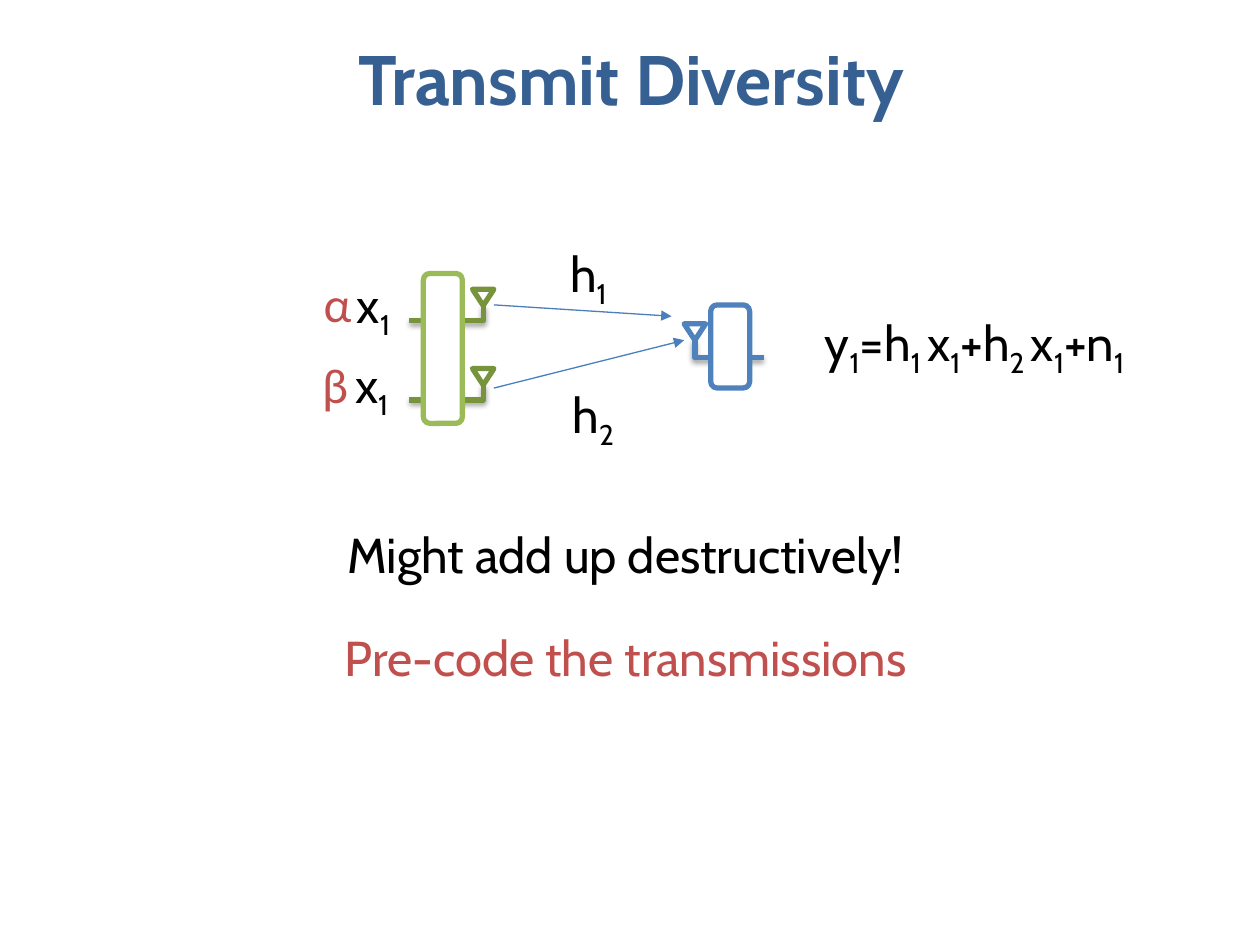
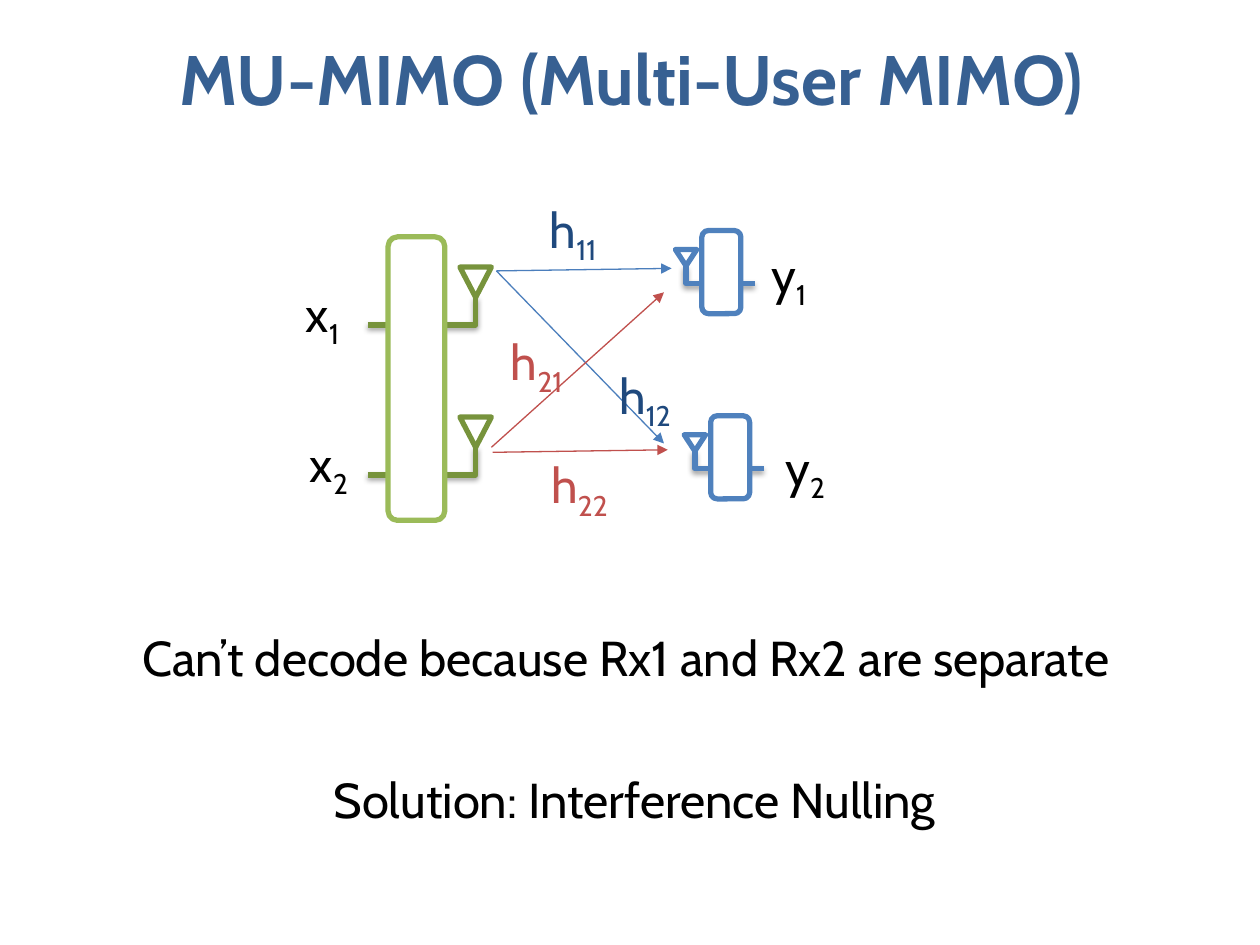
from dataclasses import dataclass

from lxml.etree import SubElement
from pptx import Presentation
from pptx.dml.color import RGBColor
from pptx.enum.shapes import MSO_CONNECTOR, MSO_SHAPE
from pptx.enum.text import MSO_ANCHOR, MSO_AUTO_SIZE, PP_ALIGN
from pptx.oxml.ns import qn
from pptx.util import Emu, Inches, Pt

SLIDE_WIDTH, SLIDE_HEIGHT = Inches(10), Inches(7.5)
COLUMNS, ROWS = 100, 75
FONT, GREEK_FONT = "Cabin", "Calibri"
TITLE_BLUE, NAVY, RED = "376092", "1F497D", "C0504D"
BLACK, WHITE = "000000", "FFFFFF"
GREEN, DARK_GREEN = "9BBB59", "77933C"
BLUE, ARROW_BLUE = "4F81BD", "4B7EBC"


@dataclass(frozen=True)
class Area:
    column: float
    row: float
    columns: float
    rows: float


@dataclass(frozen=True)
class Radio:
    body: Area
    antenna: Area
    wire_end: float
    wire_drop: float
    body_color: str
    antenna_color: str
    antenna_gaps: tuple[float, ...] = (0,)


@dataclass(frozen=True)
class Path:
    start: tuple[float, float]
    end: tuple[float, float]
    color: str = ARROW_BLUE


@dataclass(frozen=True)
class Label:
    pieces: tuple[str, ...]
    area: Area
    color: str = BLACK
    font: str = FONT


@dataclass(frozen=True)
class Diagram:
    title: str
    radios: tuple[Radio, ...]
    paths: tuple[Path, ...]
    labels: tuple[Label, ...]


def receiver(column: float, row: float) -> Radio:
    return Radio(
        Area(column, row, 3.1, 6.6),
        Area(column - 2.1, row + 1.5, 1.7, 1.3),
        column + 4.2, 1.4, BLUE, BLUE,
    )


def channel(digits: str, column: float, row: float, color: str = BLACK) -> Label:
    return Label(("h", digits), Area(column, row, 17, 6.3), color)


def signal(letter: str, digit: str, column: float, row: float,
           columns: float = 25.4) -> Label:
    return Label((letter, digit), Area(column, row, columns, 6.3))


def statement(text: str, row: float, column: float = -0.7, color: str = BLACK) -> Label:
    return Label((text,), Area(column, row, 100.7, 5.9), color)


DIAGRAMS = (
    Diagram(
        "Transmit Diversity",
        (
            Radio(Area(33.6, 21.7, 3.1, 11.9), Area(37.5, 22.95, 1.7, 1.3),
                  32.5, 1.2, GREEN, DARK_GREEN, (0, 6.3)),
            receiver(56.4, 24.2),
        ),
        (
            Path((39.2, 24.2), (53.3, 25.1)),
            Path((39.2, 30.8), (54.3, 27)),
        ),
        (
            channel("2", 38.6, 29.9),
            channel("1", 38.2, 18.7),
            signal("x", "1", 17.5, 21.2, 24.3),
            signal("x", "1", 25, 27.5, 9),
            Label(("y", "1", "=h", "1 ", "x", "1", "+h", "2 ", "x", "1", "+n", "1"),
                  Area(60.5, 24.2, 33.7, 6.3)),
            statement("Might add up destructively!", 41),
            statement("Pre-code the transmissions", 49.2, color=RED),
            Label(("α",), Area(24.6, 21.1, 3.7, 6.3), RED, GREEK_FONT),
            Label(("β",), Area(24.1, 27.5, 5, 5.9), RED, GREEK_FONT),
        ),
    ),
    Diagram(
        "MU-MIMO (Multi-User MIMO)",
        (
            receiver(55.7, 18.3),
            receiver(56.4, 33),
            Radio(Area(30.8, 18.8, 4.5, 22.5), Area(36.5, 21.2, 2.5, 2.4),
                  29.2, 2.2, GREEN, DARK_GREEN, (0, 11.9)),
        ),
        (
            Path((39.4, 21.5), (53.3, 21.3)),
            Path((39.4, 21.5), (52.7, 35.2)),
            Path((39, 35.5), (52.7, 23.2), RED),
            Path((39.1, 35.9), (53, 35.7), RED),
        ),
        (
            channel("12", 42.7, 28.4, NAVY),
            channel("11", 37, 15.2, NAVY),
            channel("21", 34.1, 25.7, RED),
            channel("22", 37.5, 35.5, RED),
            signal("y", "1", 49.9, 18.8),
            signal("y", "2", 51.2, 34.1),
            signal("x", "1", 12.9, 21.9),
            signal("x", "2", 13.4, 33.8),
            statement("Can’t decode because Rx1 and Rx2 are separate", 49.2),
            statement("Solution: Interference Nulling", 60.5, 0),
        ),
    ),
)


def rgb(value: str) -> RGBColor:
    return RGBColor.from_string(value)


def across(columns: float) -> Emu:
    return Emu(round(SLIDE_WIDTH * columns / COLUMNS))


def down(rows: float) -> Emu:
    return Emu(round(SLIDE_HEIGHT * rows / ROWS))


def frame(area: Area) -> tuple[Emu, Emu, Emu, Emu]:
    return across(area.column), down(area.row), across(area.columns), down(area.rows)


def add_title(page, text: str) -> None:
    title = page.shapes.title
    title.left, title.top, title.width, title.height = frame(Area(0.2, 0, 99.8, 12.3))
    title.text_frame.text = text
    title.text_frame.auto_size = MSO_AUTO_SIZE.NONE
    title.text_frame.vertical_anchor = MSO_ANCHOR.MIDDLE
    para = title.text_frame.paragraphs[0]
    para.alignment = PP_ALIGN.CENTER
    para.font.name, para.font.size, para.font.bold = FONT, Pt(40), True
    para.font.color.rgb = rgb(TITLE_BLUE)


def add_outline(page, kind: MSO_SHAPE, area: Area, color: str):
    shape = page.shapes.add_shape(kind, *frame(area))
    shape.shadow.inherit = False
    shape.fill.solid()
    shape.fill.fore_color.rgb = rgb(WHITE)
    shape.line.color.rgb = rgb(color)
    shape.line.width = Pt(3)
    return shape


def add_line(page, kind: MSO_CONNECTOR, start: tuple[float, float],
             end: tuple[float, float], color: str, width: float):
    line = page.shapes.add_connector(
        kind, across(start[0]), down(start[1]), across(end[0]), down(end[1]))
    line.line.color.rgb = rgb(color)
    line.line.width = Pt(width)
    effects = SubElement(line._element.spPr, qn("a:effectLst"))
    return line, effects


def add_wire(page, radio: Radio, antenna: Area) -> None:
    top = antenna.row + antenna.rows
    line, effects = add_line(
        page, MSO_CONNECTOR.ELBOW, (antenna.column + antenna.columns / 2, top),
        (radio.wire_end, top + radio.wire_drop), radio.antenna_color, 3)
    properties = line._element.spPr
    properties.find(qn("a:xfrm")).set("rot", "10800000")
    properties.find(qn("a:prstGeom")).set("prst", "bentConnector2")
    shadow = SubElement(effects, qn("a:outerShdw"), blurRad="40000", dist="20000",
                        dir="5400000", rotWithShape="0")
    shade = SubElement(shadow, qn("a:srgbClr"), val=BLACK)
    SubElement(shade, qn("a:alpha"), val="38000")


def add_radio(page, radio: Radio) -> None:
    first = radio.antenna
    for gap in radio.antenna_gaps:
        antenna = Area(first.column, first.row + gap, first.columns, first.rows)
        add_wire(page, radio, antenna)
        triangle = add_outline(
            page, MSO_SHAPE.ISOSCELES_TRIANGLE, antenna, radio.antenna_color)
        triangle.rotation = 180
    add_outline(page, MSO_SHAPE.ROUNDED_RECTANGLE, radio.body, radio.body_color)


def add_path(page, path: Path) -> None:
    arrow, _ = add_line(
        page, MSO_CONNECTOR.STRAIGHT, path.start, path.end, path.color, 0.75)
    SubElement(arrow.line._get_or_add_ln(), qn("a:tailEnd"), type="triangle")


def add_label(page, label: Label) -> None:
    box = page.shapes.add_textbox(*frame(label.area))
    text_frame = box.text_frame
    text_frame.word_wrap = True
    text_frame.margin_left = text_frame.margin_right = Inches(0.11)
    text_frame.margin_top = text_frame.margin_bottom = Inches(0.06)
    para = text_frame.paragraphs[0]
    para.alignment = PP_ALIGN.CENTER
    for index, piece in enumerate(label.pieces):
        span = para.add_run()
        span.text = piece
        span.font.name, span.font.size = label.font, Pt(28)
        span.font.color.rgb = rgb(label.color)
        if index % 2:
            span._r.get_or_add_rPr().set("baseline", "-25000")


def add_diagram(deck, diagram: Diagram) -> None:
    page = deck.slides.add_slide(deck.slide_layouts.get_by_name("Title Only"))
    add_title(page, diagram.title)
    for radio in diagram.radios:
        add_radio(page, radio)
    for path in diagram.paths:
        add_path(page, path)
    for label in diagram.labels:
        add_label(page, label)


def main() -> None:
    deck = Presentation()
    deck.slide_width, deck.slide_height = SLIDE_WIDTH, SLIDE_HEIGHT
    for diagram in DIAGRAMS:
        add_diagram(deck, diagram)
    deck.save("out.pptx")


if __name__ == "__main__":
    main()
